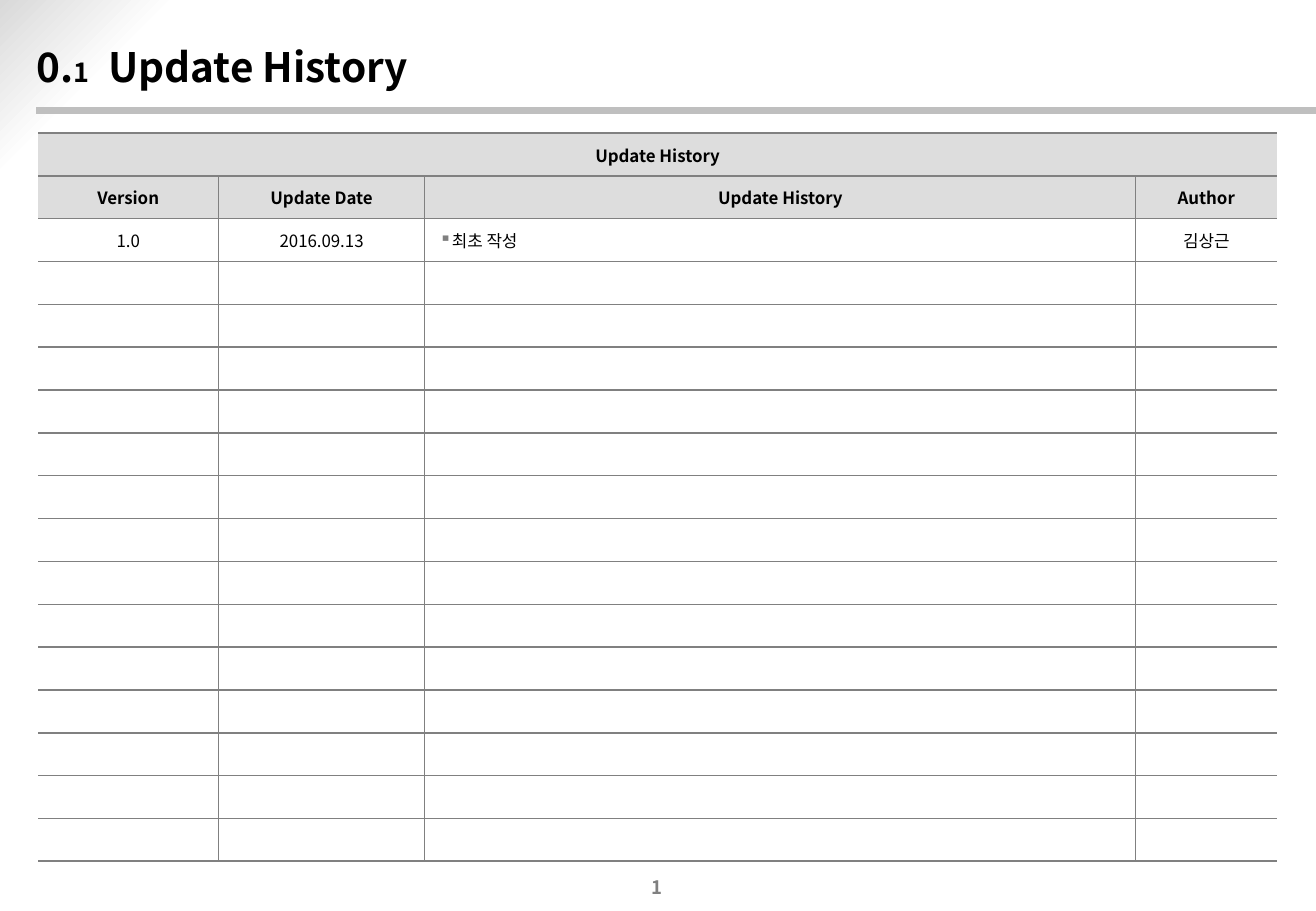
from dataclasses import dataclass
from typing import Any

from lxml import etree
from pptx import Presentation
from pptx import oxml
from pptx.dml import color
from pptx.enum import shapes, text
from pptx.oxml import ns
from pptx.util import Pt

FONT = "Noto Sans CJK KR"
BLACK = color.RGBColor(0x00, 0x00, 0x00)
WHITE = color.RGBColor(0xFF, 0xFF, 0xFF)
HEADER_GRAY = color.RGBColor(0xDD, 0xDD, 0xDD)
RULE_GRAY = color.RGBColor(0xBF, 0xBF, 0xBF)
GRAY = color.RGBColor(0x80, 0x80, 0x80)
CORNER_GRAY = color.RGBColor(0xD9, 0xD9, 0xD9)

SLIDE_WIDTH, SLIDE_HEIGHT = 780, 540
TABLE_LEFT, TABLE_TOP, TABLE_HEIGHT = 22.6, 78.8, 432
COLUMN_WIDTHS = (106.8, 122.4, 421.4, 83.6)
ROW_COUNT = 17
HEADER_ROWS = 2
NOTE_COLUMN = 2
HISTORY = (
    ("Update History", "", "", ""),
    ("Version", "Update Date", "Update History", "Author"),
    ("1.0", "2016.09.13", "최초 작성", "김상근"),
)
CELL_FORMAT = {
    "vertical_anchor": text.MSO_ANCHOR.MIDDLE,
    "margin_left": Pt(1.4),
    "margin_right": Pt(1.4),
    "margin_top": Pt(3.6),
    "margin_bottom": Pt(3.6),
}
FRAME_FORMAT = {
    "margin_left": 0,
    "margin_right": 0,
    "margin_top": 0,
    "margin_bottom": 0,
}


@dataclass(frozen=True)
class Piece:
    wording: str
    size: float
    bold: bool = True
    ink: color.RGBColor = BLACK


@dataclass(frozen=True)
class Label:
    left: float
    top: float
    width: float
    height: float
    pieces: tuple[Piece, ...]
    frame: dict[str, Any]
    paragraph: dict[str, Any]


TITLE = Label(
    21.6, 28.1, 737.3, 25.9,
    (Piece("0.", 24), Piece("1", 16), Piece("\tUpdate History", 24)),
    {"word_wrap": True, "vertical_anchor": text.MSO_ANCHOR.BOTTOM},
    {"line_spacing": 0.9},
)
PAGE_NUMBER = Label(
    375.8, 519.1, 27.4, 13.7,
    (Piece("1", 11, ink=GRAY),),
    {"word_wrap": False, "vertical_anchor": text.MSO_ANCHOR.MIDDLE},
    {"alignment": text.PP_ALIGN.CENTER},
)


def apply(target: Any, values: dict[str, Any]) -> None:
    for name, value in values.items():
        setattr(target, name, value)


def add_piece(paragraph: Any, piece: Piece) -> None:
    run = paragraph.add_run()
    run.text = piece.wording
    apply(run.font, {"name": FONT, "size": Pt(piece.size), "bold": piece.bold})
    run.font.color.rgb = piece.ink
    east_asian = etree.SubElement(run.font._element, ns.qn("a:ea"))
    east_asian.set("typeface", FONT)


def add_label(slide: Any, label: Label) -> Any:
    bounds = (label.left, label.top, label.width, label.height)
    frame = slide.shapes.add_textbox(*map(Pt, bounds)).text_frame
    apply(frame, FRAME_FORMAT | label.frame)
    paragraph = frame.paragraphs[0]
    apply(paragraph, label.paragraph)
    for piece in label.pieces:
        add_piece(paragraph, piece)
    return paragraph


def add_tab_stop(paragraph: Any, position: float) -> None:
    properties = paragraph._p.get_or_add_pPr()
    stops = etree.SubElement(properties, ns.qn("a:tabLst"))
    stop = etree.SubElement(stops, ns.qn("a:tab"))
    apply_xml = {"pos": str(Pt(position)), "algn": "l"}
    stop.attrib.update(apply_xml)


def set_background(slide: Any) -> None:
    stops = "".join(
        f'<a:gs pos="{share * 1000}"><a:srgbClr val="{shade}"/></a:gs>'
        for share, shade in ((0, WHITE), (92, WHITE), (100, CORNER_GRAY))
    )
    background = oxml.parse_xml(
        f'<p:bg {ns.nsdecls("p", "a")}><p:bgPr><a:gradFill rotWithShape="1">'
        f'<a:gsLst>{stops}</a:gsLst><a:path path="circle">'
        '<a:fillToRect l="100000" t="100000"/></a:path></a:gradFill>'
        '<a:effectLst/></p:bgPr></p:bg>'
    )
    slide.element.cSld.insert(0, background)


def add_title_rule(slide: Any) -> None:
    rule = slide.shapes.add_connector(
        shapes.MSO_CONNECTOR.STRAIGHT,
        Pt(21.6), Pt(65.5), Pt(SLIDE_WIDTH), Pt(65.5),
    )
    rule.line.color.rgb = RULE_GRAY
    rule.line.width = Pt(4.5)
    etree.SubElement(rule._element.spPr, ns.qn("a:effectLst"))


def set_borders(cell: Any, widths: dict[str, float]) -> None:
    properties = cell._tc.get_or_add_tcPr()
    for index, (side, width) in enumerate(widths.items()):
        paint = (
            f'<a:solidFill><a:srgbClr val="{GRAY}"/></a:solidFill>'
            if width else "<a:noFill/>"
        )
        border = oxml.parse_xml(
            f'<a:ln{side} {ns.nsdecls("a")} w="{Pt(width)}">{paint}</a:ln{side}>'
        )
        properties.insert(index, border)


def add_bullet(paragraph: Any) -> None:
    properties = paragraph._p.get_or_add_pPr()
    properties.attrib.update({"marL": str(Pt(13.7)), "indent": str(Pt(-6.5))})
    shade = etree.SubElement(properties, ns.qn("a:buClr"))
    etree.SubElement(shade, ns.qn("a:srgbClr")).set("val", str(GRAY))
    etree.SubElement(properties, ns.qn("a:buChar")).set("char", "▪")


def fill_cell(cell: Any, row: int, column: int, wording: str) -> None:
    is_header = row < HEADER_ROWS
    is_note = column == NOTE_COLUMN and not is_header
    apply(cell, CELL_FORMAT)
    cell.fill.solid()
    cell.fill.fore_color.rgb = HEADER_GRAY if is_header else WHITE
    set_borders(cell, {
        "L": 1 if column and row else 0,
        "R": 1 if column < len(COLUMN_WIDTHS) - 1 and row else 0,
        "T": 1 if row else 1.5,
        "B": 1 if row < ROW_COUNT - 1 else 1.5,
    })
    paragraph = cell.text_frame.paragraphs[0]
    apply(paragraph, {
        "alignment": text.PP_ALIGN.LEFT if is_note else text.PP_ALIGN.CENTER,
        "line_spacing": 1.04,
        "space_before": Pt(0 if is_header else 2),
    })
    if wording:
        if is_note:
            add_bullet(paragraph)
        add_piece(paragraph, Piece(wording, 10, bold=is_header))
    else:
        etree.SubElement(paragraph._p, ns.qn("a:endParaRPr")).set("sz", "1000")


def add_history_table(slide: Any) -> None:
    bounds = (TABLE_LEFT, TABLE_TOP, sum(COLUMN_WIDTHS), TABLE_HEIGHT)
    history = slide.shapes.add_table(
        ROW_COUNT, len(COLUMN_WIDTHS), *map(Pt, bounds)
    ).table
    apply(history, {"first_row": False, "horz_banding": False})
    for column, width in zip(history.columns, COLUMN_WIDTHS):
        column.width = Pt(width)
    for row in range(ROW_COUNT):
        history.rows[row].height = Pt(TABLE_HEIGHT / ROW_COUNT)
        entries = HISTORY[row] if row < len(HISTORY) else ("",) * len(COLUMN_WIDTHS)
        for column, wording in enumerate(entries):
            fill_cell(history.cell(row, column), row, column, wording)
    history.cell(0, 0).merge(history.cell(0, len(COLUMN_WIDTHS) - 1))


def main() -> None:
    deck = Presentation()
    apply(deck, {"slide_width": Pt(SLIDE_WIDTH), "slide_height": Pt(SLIDE_HEIGHT)})
    slide = deck.slides.add_slide(deck.slide_layouts[6])
    set_background(slide)
    add_label(slide, PAGE_NUMBER)
    add_tab_stop(add_label(slide, TITLE), 42.5)
    add_title_rule(slide)
    add_history_table(slide)
    deck.save("out.pptx")


if __name__ == "__main__":
    main()
